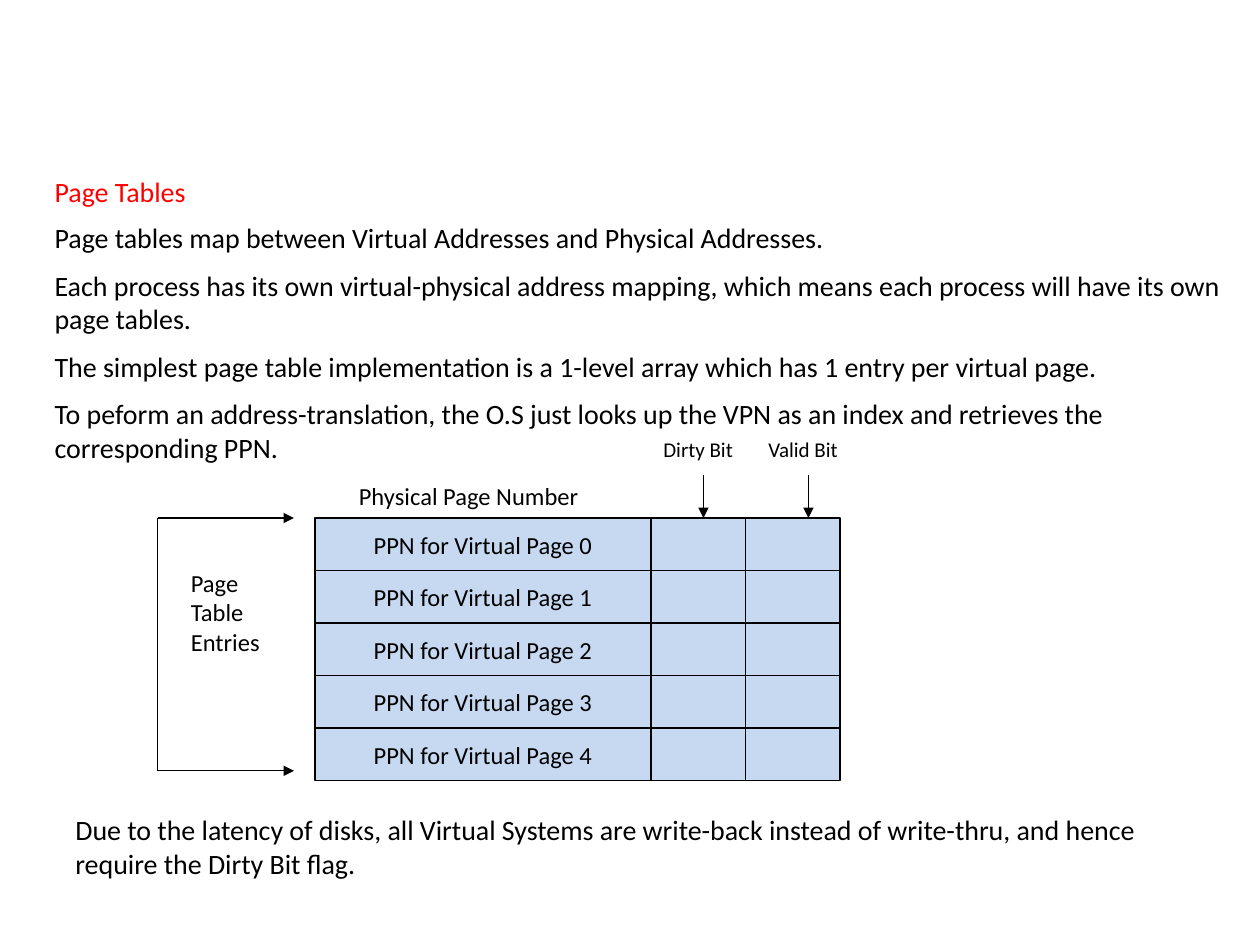
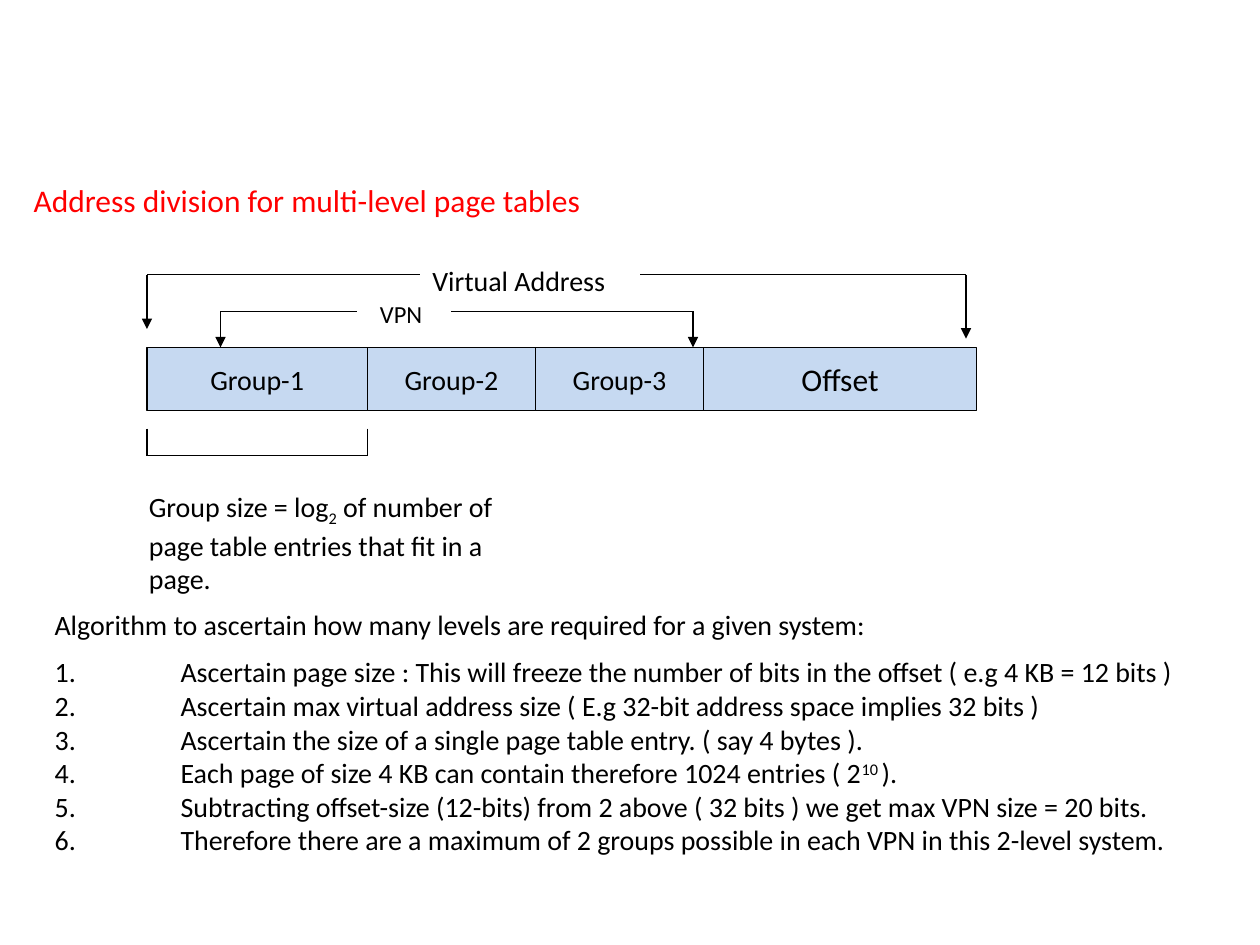
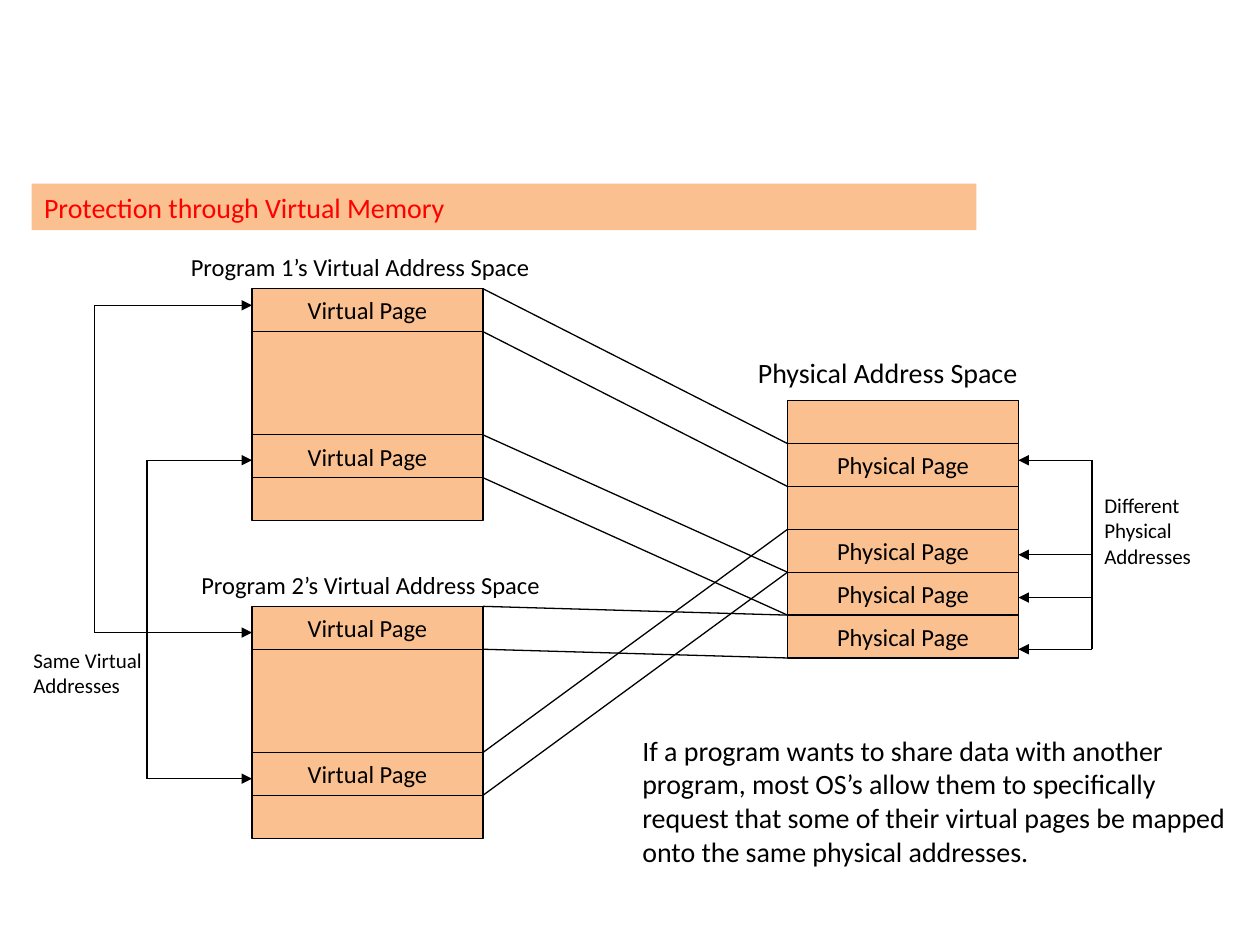
from dataclasses import dataclass

from lxml.etree import SubElement
from pptx import Presentation
from pptx.dml.color import RGBColor
from pptx.enum.shapes import MSO_CONNECTOR, MSO_SHAPE
from pptx.enum.text import MSO_ANCHOR, MSO_AUTO_SIZE, PP_ALIGN
from pptx.oxml.ns import qn
from pptx.util import Pt

FONT = "Calibri"
BLACK = "000000"
RED = "FF0000"
BLUE = "C6D9F1"
ORANGE = "FAC090"
LINE_WIDTH = 0.75
TITLE_AND_BODY, TITLE_ONLY = 1, 5


@dataclass
class Area:
    left: float
    top: float
    width: float
    height: float


@dataclass
class Label:
    text: str
    area: Area
    size: float = 16


@dataclass
class Line:
    x1: float
    y1: float
    x2: float
    y2: float
    arrow: bool = False


def color(value: str) -> RGBColor:
    return RGBColor.from_string(value)


def place(shape, area: Area) -> None:
    shape.left, shape.top = Pt(area.left), Pt(area.top)
    shape.width, shape.height = Pt(area.width), Pt(area.height)


# Text

def write_spans(para, text: str, size: float, ink: str, shift: int = 0) -> None:
    """Write text; parts between bars are raised or lowered by shift percent."""
    for index, part in enumerate(text.split("|")):
        span = para.add_run()
        span.text = part
        span.font.name = FONT
        span.font.size = Pt(size)
        span.font.color.rgb = color(ink)
        if index % 2:
            span.font._element.set("baseline", str(shift * 1000))


def set_bullet(para, numbered: bool) -> None:
    indent = Pt(72) if numbered else 0
    properties = para._p.get_or_add_pPr()
    properties.set("marL", str(indent))
    properties.set("indent", str(-indent))
    if numbered:
        SubElement(properties, qn("a:buFont"), typeface=FONT)
        SubElement(properties, qn("a:buAutoNum"), type="arabicPeriod")
    else:
        SubElement(properties, qn("a:buNone"))


def prepare_frame(shape):
    frame = shape.text_frame
    frame.word_wrap = True
    frame.auto_size = MSO_AUTO_SIZE.NONE
    frame.vertical_anchor = MSO_ANCHOR.TOP
    return frame


def set_title(page, text: str, area: Area, size: float = 16):
    title = page.shapes.title
    place(title, area)
    para = prepare_frame(title).paragraphs[0]
    para.alignment = PP_ALIGN.LEFT
    write_spans(para, text, size, RED)
    return title


def set_body(page, area: Area, texts: list[str], steps: list[str], shift: int = 0) -> None:
    body = page.placeholders[1]
    place(body, area)
    frame = prepare_frame(body)
    for index, text in enumerate(texts + steps):
        para = frame.add_paragraph() if index else frame.paragraphs[0]
        para.space_before = Pt(8 if 0 < index <= len(texts) else 0)
        set_bullet(para, index >= len(texts))
        write_spans(para, text, 16, BLACK, shift)


def draw_label(page, label: Label, shift: int = 0) -> None:
    box = page.shapes.add_textbox(0, 0, 0, 0)
    place(box, label.area)
    write_spans(prepare_frame(box).paragraphs[0], label.text, label.size, BLACK, shift)


# Shapes and lines

def draw_cell(page, area: Area, fill: str, text: str = "", size: float = 14) -> None:
    cell = page.shapes.add_shape(MSO_SHAPE.RECTANGLE, 0, 0, 0, 0)
    place(cell, area)
    cell.shadow.inherit = False
    cell.fill.solid()
    cell.fill.fore_color.rgb = color(fill)
    cell.line.color.rgb = color(BLACK)
    cell.line.width = Pt(LINE_WIDTH)
    if text:
        frame = cell.text_frame
        frame.word_wrap = False
        frame.vertical_anchor = MSO_ANCHOR.MIDDLE
        para = frame.paragraphs[0]
        para.alignment = PP_ALIGN.CENTER
        write_spans(para, text, size, BLACK)


def draw_line(page, line: Line) -> None:
    connector = page.shapes.add_connector(
        MSO_CONNECTOR.STRAIGHT, Pt(line.x1), Pt(line.y1), Pt(line.x2), Pt(line.y2))
    connector.line.color.rgb = color(BLACK)
    connector.line.width = Pt(LINE_WIDTH)
    if line.arrow:
        SubElement(connector.line._get_or_add_ln(), qn("a:tailEnd"), type="triangle")
    SubElement(connector._element.spPr, qn("a:effectLst"))


def draw_bracket(page, spine: float, tip: float, heights: list[float]) -> None:
    """Draw an upright spine with an arrow to the tip at each height."""
    draw_line(page, Line(spine, heights[0], spine, heights[-1]))
    for height in heights:
        draw_line(page, Line(spine, height, tip, height, True))


def draw_hook(page, start: float, corner: float, top: float, bottom: float) -> None:
    """Draw a level line to the corner and an arrow down from it."""
    draw_line(page, Line(start, top, corner, top))
    draw_line(page, Line(corner, top, corner, bottom, True))


# Slides

def add_page_tables(deck) -> None:
    page = deck.slides.add_slide(deck.slide_layouts[TITLE_AND_BODY])
    set_title(page, "Page Tables", Area(24, 96, 672, 26.5))
    set_body(page, Area(24, 122.5, 684, 152.5), [
        "Page tables map between Virtual Addresses and Physical Addresses.",
        "Each process has its own virtual-physical address mapping, which means "
        "each process will have its own page tables.",
        "The simplest page table implementation is a 1-level array which has "
        "1 entry per virtual page.",
        "To peform an address-translation, the O.S just looks up the VPN as an "
        "index and retrieves the corresponding PPN.",
    ], [])

    # Page table entries with their two flag columns
    table_top, row_height = 296, 30
    for row in range(5):
        top = table_top + row * row_height
        draw_cell(page, Area(180, top, 192, row_height), BLUE, f"PPN for Virtual Page {row}")
        for left in (372, 426):
            draw_cell(page, Area(left, top, 54, row_height), BLUE)

    draw_bracket(page, 90, 168, [table_top, 440.5])
    for x in (402, 462):
        draw_line(page, Line(x, 271.5, x, table_top, True))

    for label in (
        Label("Page Table Entries", Area(102, 321, 66, 58), 14),
        Label("Physical Page Number", Area(198, 271.5, 186, 24.5), 14),
        Label("Dirty Bit", Area(372, 246, 55, 36), 12),
        Label("Valid Bit", Area(432, 246, 55, 36), 12),
        Label("Due to the latency of disks, all Virtual Systems are write-back instead "
              "of write-thru, and hence require the Dirty Bit flag.",
              Area(36, 461, 666, 46)),
    ):
        draw_label(page, label)


def add_address_division(deck) -> None:
    page = deck.slides.add_slide(deck.slide_layouts[TITLE_AND_BODY])
    set_title(page, "Address division for multi-level page tables",
              Area(12, 100, 444, 31), 18)

    # Address fields, side by side
    left, field_top = 84, 198.5
    for text, width, size in (("Group-1", 126, 16), ("Group-2", 96, 16),
                              ("Group-3", 96, 16), ("Offset", 156, 18)):
        draw_cell(page, Area(left, field_top, width, 36), BLUE, text, size)
        left += width

    # Extents of the address, the VPN and the first group
    draw_hook(page, 240, 84, 157, 188)
    draw_hook(page, 366, 552, 157, 193.5)
    draw_hook(page, 204, 126, 178, field_top)
    draw_hook(page, 258, 396, 178, field_top)
    for x in (84, 210):
        draw_line(page, Line(x, 245, x, 260.5))
    draw_line(page, Line(84, 260.5, 210, 260.5))

    for label in (
        Label("Virtual Address", Area(240, 147, 120, 23)),
        Label("VPN", Area(210, 167.5, 54, 21), 14),
        Label("Group size = log|2| of number of page table entries that fit in a page.",
              Area(78, 276.5, 216, 56)),
    ):
        draw_label(page, label, -25)

    set_body(page, Area(24, 343.5, 680, 150), [
        "Algorithm to ascertain how many levels are required for a given system:",
        ], [
        "Ascertain page size : This will freeze the number of bits in the offset "
        "( e.g 4 KB = 12 bits )",
        "Ascertain max virtual address size ( E.g 32-bit address space implies 32 bits )",
        "Ascertain the size of a single page table entry. ( say 4 bytes ).",
        "Each page of size 4 KB can contain therefore 1024 entries ( 2|10 |).",
        "Subtracting offset-size (12-bits) from 2 above ( 32 bits ) we get max VPN "
        "size = 20 bits.",
        "Therefore there are a maximum of 2 groups possible in each VPN in this "
        "2-level system.",
    ], 30)
    # The first step stands apart from the introduction
    page.placeholders[1].text_frame.paragraphs[1].space_before = Pt(8)


def add_protection(deck) -> None:
    page = deck.slides.add_slide(deck.slide_layouts[TITLE_ONLY])
    title = set_title(page, "Protection through Virtual Memory", Area(18, 105, 540, 26.5))
    title.fill.solid()
    title.fill.fore_color.rgb = color(ORANGE)

    row, gap, width = 24.5, 59, 132
    virtual_left, physical_left = 144, 450
    program_tops = (165, 346.5)
    second_page = row + gap
    physical_top = 229

    # Virtual spaces of both programs
    for top in program_tops:
        for offset, height, text in ((0, row, "Virtual Page"), (row, gap, ""),
                                     (second_page, row, "Virtual Page"),
                                     (second_page + row, row, "")):
            draw_cell(page, Area(virtual_left, top + offset, width, height), ORANGE, text)

    # Physical space
    for index in range(6):
        text = "" if index in (0, 2) else "Physical Page"
        draw_cell(page, Area(physical_left, physical_top + index * row, width, row),
                  ORANGE, text)

    # Each virtual page maps to a physical row, edge to edge
    first, second = program_tops
    for top, index in ((first, 1), (first + second_page, 4),
                       (second + second_page, 3), (second, 5)):
        for edge in (0, row):
            draw_line(page, Line(virtual_left + width, top + edge,
                                 physical_left, physical_top + index * row + edge))

    # Shared virtual addresses and separate physical ones
    draw_bracket(page, 54, virtual_left, [174.5, 361.5])
    draw_bracket(page, 84, virtual_left, [263, 445])
    draw_bracket(page, 624, physical_left + width, [263, 317, 341.5, 371])

    for label in (
        Label("Program 1’s Virtual Address Space", Area(102, 140.5, 246, 24.5), 14),
        Label("Program 2’s Virtual Address Space", Area(108, 322, 246, 24.5), 14),
        Label("Same Virtual Addresses", Area(12, 366.5, 78, 36), 12),
        Label("Physical Address Space", Area(426, 199.5, 204, 26.5)),
        Label("Different Physical Addresses", Area(624, 278, 78, 51), 12),
        Label("If a program wants to share data with another program, most OS’s allow "
              "them to specifically request that some of their virtual pages be mapped "
              "onto the same physical addresses.", Area(360, 415.5, 354, 85)),
    ):
        draw_label(page, label)


def main() -> None:
    deck = Presentation()
    deck.slide_width, deck.slide_height = Pt(720), Pt(540)
    add_page_tables(deck)
    add_address_division(deck)
    add_protection(deck)
    deck.save("out.pptx")


if __name__ == "__main__":
    main()
